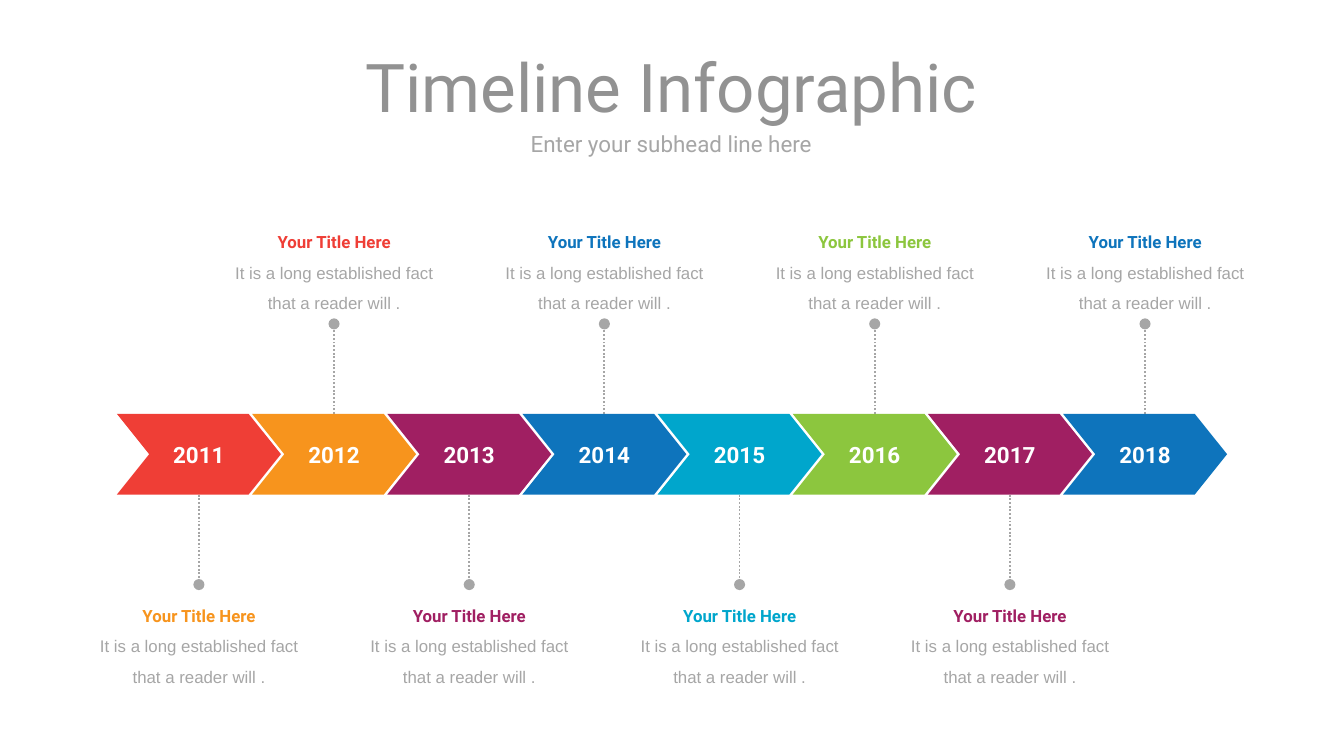
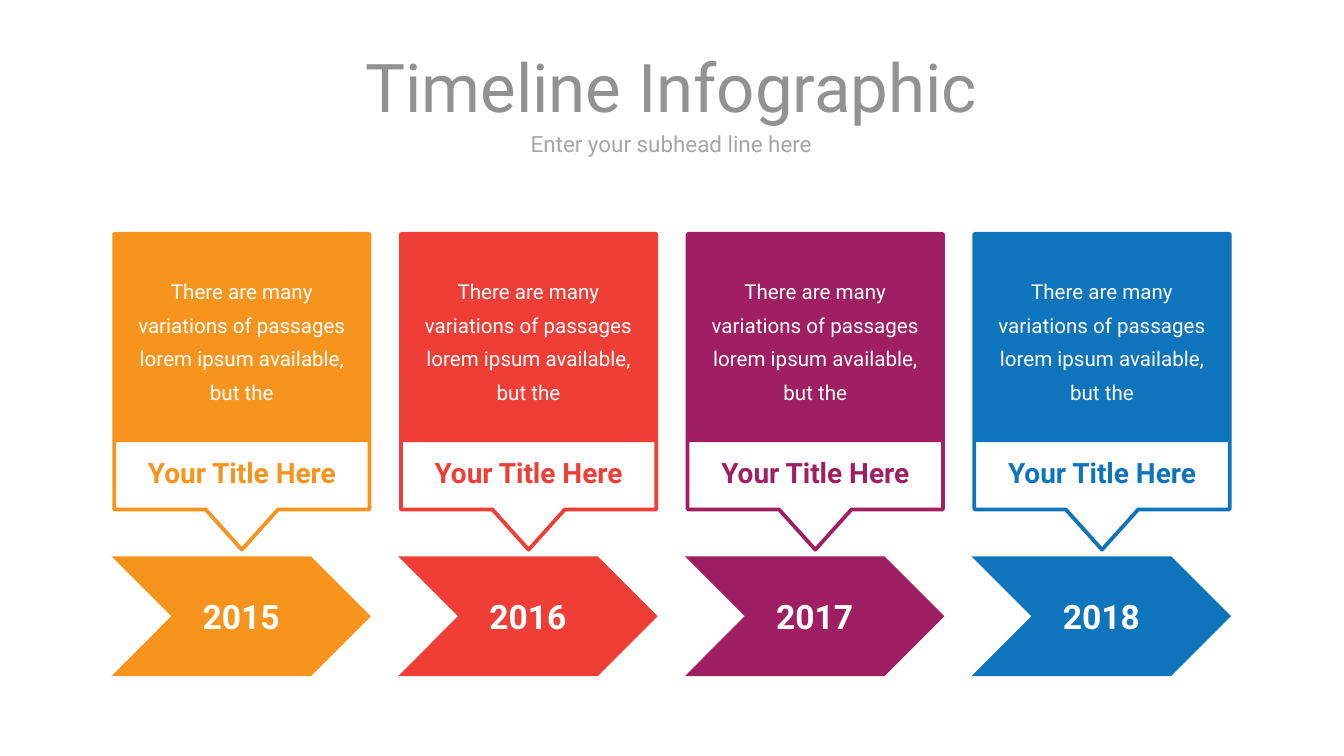
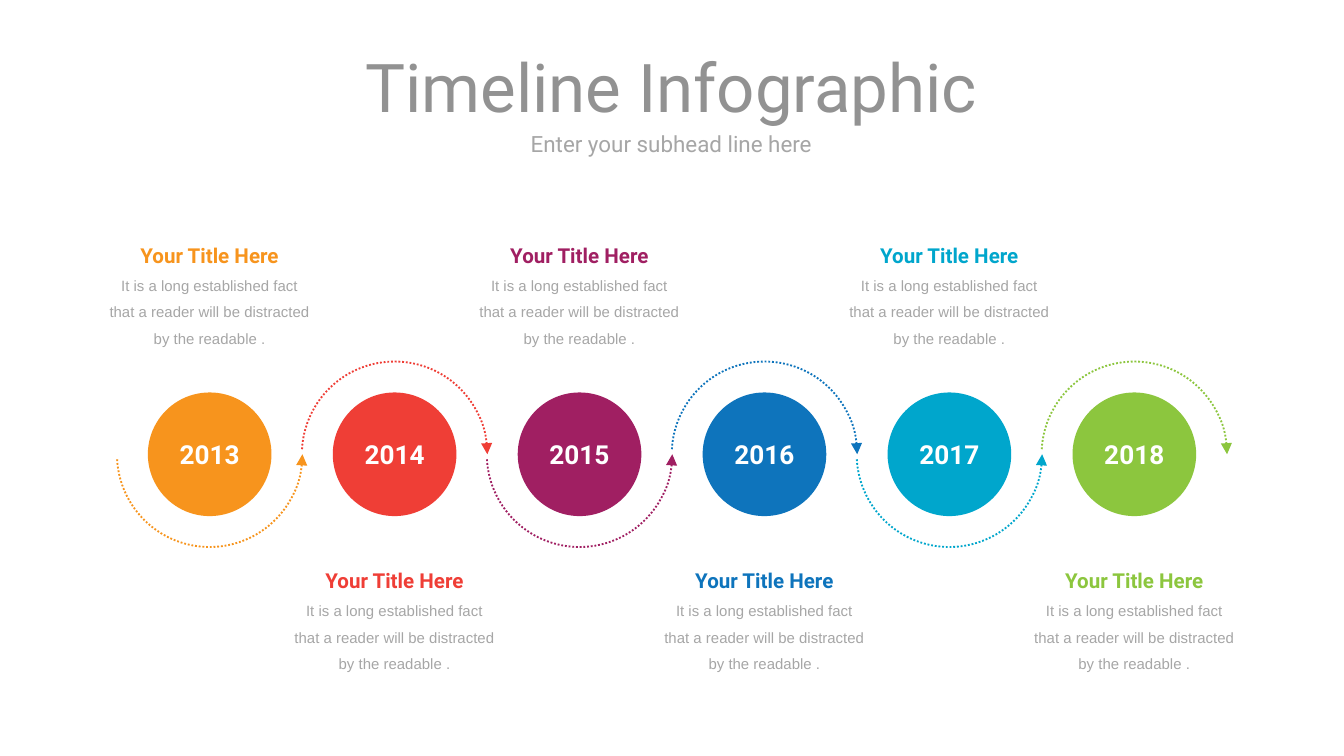
"""Build three timeline infographic slides."""
import dataclasses

import pptx
import pptx.dml.color
import pptx.enum.dml
import pptx.enum.shapes
import pptx.enum.text
import pptx.oxml
import pptx.oxml.ns
import pptx.util

Inches = pptx.util.Inches
Pt = pptx.util.Pt
SHAPES = pptx.enum.shapes.MSO_SHAPE
ANCHORS = pptx.enum.text.MSO_ANCHOR


@dataclasses.dataclass(frozen=True)
class Theme:
    """Colours, fonts and type sizes shared by the slides."""

    white: str = "FFFFFF"
    heading: str = "929292"
    grey: str = "A6A6A6"
    orange: str = "F7941D"
    red: str = "EF3E36"
    purple: str = "A01F62"
    blue: str = "0E74BC"
    cyan: str = "00A6CC"
    green: str = "8CC63E"
    font: str = "Roboto"
    body_font: str = "Arial"
    heading_size: int = 36
    subhead_size: int = 12
    chevron_size: int = 12
    callout_size: int = 9
    card_year_size: int = 18
    card_title_size: int = 15
    card_body_size: int = 11
    circle_size: int = 14
    step_title_size: int = 11
    step_body_size: int = 8


THEME = Theme()
ITEM_TITLE = "Your Title Here"


def rgb(color):
    """Turn a hex string into a colour."""
    return pptx.dml.color.RGBColor.from_string(color)


def spread(first, last, count):
    """Return evenly spaced positions from first to last."""
    return [first + (last - first) * index / (count - 1) for index in range(count)]


def write(frame, text, *, size, color=THEME.white, font=THEME.font, bold=False, spacing=None):
    """Add a centred paragraph, reusing the empty first one."""
    paragraph = frame.paragraphs[0]
    if paragraph.runs:
        paragraph = frame.add_paragraph()
    paragraph.alignment = pptx.enum.text.PP_ALIGN.CENTER
    if spacing:
        paragraph.line_spacing = spacing
    run = paragraph.add_run()
    run.text = text
    run.font.size = Pt(size)
    run.font.name = font
    run.font.bold = bold
    run.font.color.rgb = rgb(color)


def add_text_frame(slide, left, top, width, height, *, anchor=ANCHORS.MIDDLE, inset=True, wrap=True):
    """Add a text box and return its text frame."""
    box = slide.shapes.add_textbox(Inches(left), Inches(top), Inches(width), Inches(height))
    frame = box.text_frame
    frame.word_wrap = wrap
    frame.vertical_anchor = anchor
    if not inset:
        frame.margin_left = frame.margin_right = frame.margin_top = frame.margin_bottom = 0
    return frame


def add_filled_shape(slide, kind, left, top, width, height, color):
    """Add a preset shape with a flat fill and no outline."""
    shape = slide.shapes.add_shape(kind, Inches(left), Inches(top), Inches(width), Inches(height))
    shape.shadow.inherit = False
    shape.fill.solid()
    shape.fill.fore_color.rgb = rgb(color)
    shape.line.fill.background()
    return shape


def add_year(shape, year, size):
    """Write a bold white year on one line in a shape."""
    shape.text_frame.margin_left = shape.text_frame.margin_right = 0
    write(shape.text_frame, str(year), size=size, bold=True)


def style_dotted_line(shape, color, **ends):
    """Give a shape a dotted line with the named end marks."""
    shape.line.color.rgb = rgb(color)
    shape.line.width = Pt(1)
    shape.line.dash_style = pptx.enum.dml.MSO_LINE.ROUND_DOT
    outline = shape.element.spPr.find(pptx.oxml.ns.qn("a:ln"))
    for name, mark in ends.items():
        end = outline.makeelement(pptx.oxml.ns.qn(f"a:{name}"), {"type": mark})
        outline.append(end)


def add_pin(slide, center, start, end):
    """Add a dotted vertical line with round ends."""
    pin = slide.shapes.add_connector(
        pptx.enum.shapes.MSO_CONNECTOR.STRAIGHT,
        Inches(center), Inches(start), Inches(center), Inches(end))
    style_dotted_line(pin, THEME.grey, headEnd="oval", tailEnd="oval")
    properties = pin.element.spPr
    properties.append(properties.makeelement(pptx.oxml.ns.qn("a:effectLst"), {}))


def add_caption(slide, center, top, width, height, text, color, title_size, body_size):
    """Add a coloured title over grey body text."""
    frame = add_text_frame(slide, center - width / 2, top, width, height, inset=False)
    frame.auto_size = pptx.enum.text.MSO_AUTO_SIZE.SHAPE_TO_FIT_TEXT
    write(frame, ITEM_TITLE, size=title_size, color=color, bold=True, spacing=1.5)
    write(frame, text, size=body_size, color=THEME.grey, font=THEME.body_font, spacing=1.5)


def add_callout_frame(slide, center, color):
    """Add an outlined box with a pointer at its foot."""
    left, right, top, bottom = center - 0.95, center + 0.95, 1.74, 3.79
    points = [(right, top), (right, bottom), (center + 0.27, bottom), (center, 4.09),
              (center - 0.27, bottom), (left, bottom)]
    builder = slide.shapes.build_freeform(Inches(left), Inches(top))
    builder.add_line_segments([(Inches(x), Inches(y)) for x, y in points], close=True)
    shape = builder.convert_to_shape()
    shape.shadow.inherit = False
    shape.fill.background()
    shape.line.color.rgb = rgb(color)
    shape.line.width = Pt(2)


def add_arc(slide, center, color, above):
    """Add a dotted half circle with an arrow at its right end."""
    arc = slide.shapes.add_shape(
        SHAPES.ARC, Inches(center - 0.69), Inches(2.69), Inches(1.38), Inches(1.38))
    arc.shadow.inherit = False
    arc.fill.background()
    arc.adjustments[0] = 162
    arc.adjustments[1] = 52.784
    arc.rotation = 270 if above else 90
    if above:
        arc.element.spPr.xfrm.set("flipV", "1")
    style_dotted_line(arc, color, headEnd="triangle")


def add_timeline_slide(presentation):
    """Add a blank slide with the shared heading and subhead."""
    slide = presentation.slides.add_slide(presentation.slide_layouts[6])
    subhead = add_text_frame(slide, 0.42, 0.97, 9.15, 0.19, inset=False, wrap=False)
    write(subhead, "Enter your subhead line here", size=THEME.subhead_size, color=THEME.grey)
    heading = add_text_frame(slide, 0.42, 0.37, 9.15, 0.54, inset=False)
    write(heading, "Timeline Infographic", size=THEME.heading_size, color=THEME.heading)
    return slide


def build_chevron_slide(presentation):
    """Build the chevron band with callouts above and below."""
    slide = add_timeline_slide(presentation)
    band_colors = [THEME.red, THEME.orange, THEME.purple, THEME.blue,
                   THEME.cyan, THEME.green, THEME.purple, THEME.blue]
    title_colors = [THEME.orange, THEME.red] + band_colors[2:]
    centers = spread(1.48, 8.52, len(band_colors))
    for index, center in enumerate(centers):
        above = index % 2 == 1
        add_pin(slide, center, *((3.17, 2.41) if above else (3.59, 4.35)))
        add_caption(slide, center, 1.65 if above else 4.43, 1.59, 0.68,
                    "It is a long established fact that a reader will .",
                    title_colors[index], THEME.callout_size, THEME.callout_size)
    for index, center in enumerate(centers):
        chevron = add_filled_shape(
            slide, SHAPES.CHEVRON, center - 0.61, 3.08, 1.22, 0.6, band_colors[index])
        chevron.adjustments[0] = 0.4
        add_year(chevron, 2011 + index, THEME.chevron_size)


def build_card_slide(presentation):
    """Build four cards pointing at year chevrons."""
    slide = add_timeline_slide(presentation)
    colors = [THEME.orange, THEME.red, THEME.purple, THEME.blue]
    for index, center in enumerate(spread(1.8, 8.2, len(colors))):
        color = colors[index]
        add_callout_frame(slide, center, color)
        add_filled_shape(slide, SHAPES.RECTANGLE, center - 0.95, 1.74, 1.9, 1.55, color)
        title = add_text_frame(slide, center - 1.01, 3.34, 2.02, 0.35, anchor=ANCHORS.TOP)
        write(title, ITEM_TITLE, size=THEME.card_title_size, color=color, bold=True)
        body = add_text_frame(slide, center - 0.98, 1.96, 1.96, 1.11, anchor=ANCHORS.TOP)
        body.margin_left = body.margin_right = Inches(0.12)
        write(body, "There are many variations of passages lorem ipsum available, but the",
              size=THEME.card_body_size, spacing=Pt(18))
        chevron = add_filled_shape(
            slide, SHAPES.CHEVRON, center - 0.97, 4.14, 1.93, 0.89, color)
        add_year(chevron, 2015 + index, THEME.card_year_size)


def build_circle_slide(presentation):
    """Build year circles joined by a winding dotted path."""
    slide = add_timeline_slide(presentation)
    colors = [THEME.orange, THEME.red, THEME.purple, THEME.blue, THEME.cyan, THEME.green]
    for index, center in enumerate(spread(1.56, 8.44, len(colors))):
        color = colors[index]
        arc_above = index % 2 == 1
        add_arc(slide, center, color, arc_above)
        circle = add_filled_shape(slide, SHAPES.OVAL, center - 0.46, 2.92, 0.92, 0.92, color)
        add_year(circle, 2013 + index, THEME.circle_size)
        add_caption(slide, center, 4.13 if arc_above else 1.71, 1.5, 0.88,
                    "It is a long established fact that a reader will be distracted by the readable .",
                    color, THEME.step_title_size, THEME.step_body_size)


def main():
    """Build and save the presentation."""
    presentation = pptx.Presentation()
    presentation.slide_width = Inches(10)
    presentation.slide_height = presentation.slide_width * 9 // 16
    build_chevron_slide(presentation)
    build_card_slide(presentation)
    build_circle_slide(presentation)
    presentation.save("out.pptx")


if __name__ == "__main__":
    main()
